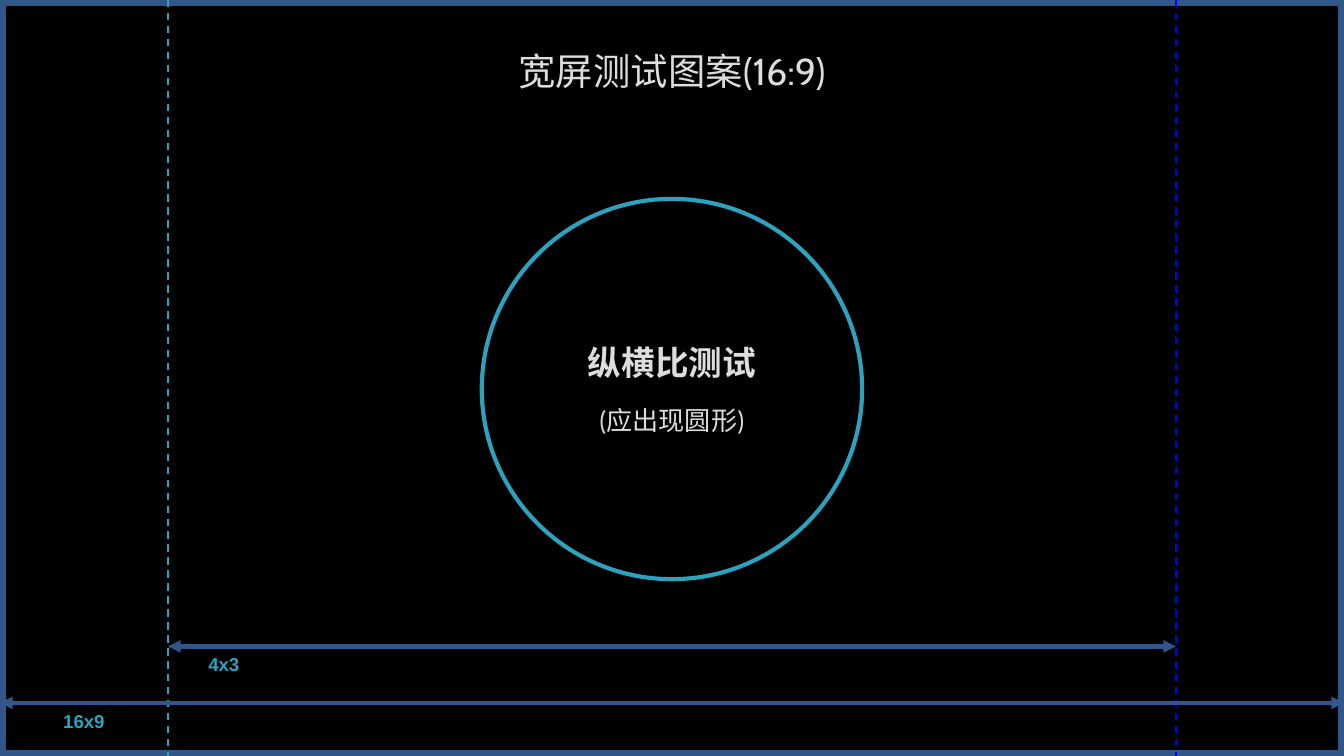
from dataclasses import dataclass
from typing import Any

from pptx import Presentation
from pptx.dml.color import RGBColor as Rgb
from pptx.enum.dml import MSO_LINE_DASH_STYLE as Dash
from pptx.enum.shapes import MSO_CONNECTOR as Link, MSO_SHAPE as Kind
from pptx.enum.text import MSO_ANCHOR as Anchor, MSO_AUTO_SIZE as Fit, PP_ALIGN as Align
from pptx.oxml.ns import qn
from pptx.oxml.xmlchemy import OxmlElement as Node
from pptx.util import Inches, Pt


@dataclass(frozen=True)
class Theme:
    back: str = "000000"
    frame: str = "31568A"
    teal: str = "2DA2BF"
    blue: str = "0000FF"
    text: str = "DDDDDD"
    face: str = "Cabin"
    label: str = "Arial"
    title: int = 20
    head: int = 18
    note: int = 14
    tag: int = 10
    thin: float = 1
    bold: float = 2.25
    edge: float = 6


@dataclass(frozen=True)
class Guide:
    x: float
    color: str


@dataclass(frozen=True)
class Span:
    name: str
    left: float
    right: float
    y: float
    tag: float


WIDE = 10
HIGH = WIDE * 9 / 16
LOOK = Theme()
SIDE = (WIDE - HIGH * 4 / 3) / 2
GUIDES = [Guide(SIDE, LOOK.teal), Guide(WIDE - SIDE, LOOK.blue)]
SPANS = [
    Span("16x9", 0, WIDE, 5.23, 0.42),
    Span("4x3", SIDE, WIDE - SIDE, 4.81, 1.5),
]


def apply(item: Any, form: dict[str, Any]) -> None:
    for key, value in form.items():
        setattr(item, key, value)


def write(para: Any, text: str, size: int, color: str, face: str,
          bold: bool = False, align: Any = Align.CENTER, gap: float = 0) -> None:
    apply(para, {"alignment": align, "space_before": Pt(gap)})
    run = para.add_run()
    run.text = text
    apply(run.font, {"size": Pt(size), "name": face, "bold": bold})
    run.font.color.rgb = Rgb.from_string(color)


def stroke(line: Any, color: str, width: float) -> None:
    line.color.rgb = Rgb.from_string(color)
    line.width = Pt(width)


def outline(slide: Any, kind: Any, box: tuple, color: str, width: float) -> Any:
    shape = slide.shapes.add_shape(kind, *map(Inches, box))
    shape.shadow.inherit = False
    shape.fill.background()
    stroke(shape.line, color, width)
    return shape


def rule(slide: Any, ends: tuple, color: str, width: float) -> Any:
    line = slide.shapes.add_connector(Link.STRAIGHT, *map(Inches, ends))
    stroke(line.line, color, width)
    line._element.spPr.append(Node("a:effectLst"))
    return line


def draw_guide(slide: Any, guide: Guide) -> None:
    line = rule(slide, (guide.x, 0, guide.x, HIGH), guide.color, LOOK.thin)
    line.line.dash_style = Dash.DASH


def draw_span(slide: Any, span: Span) -> None:
    line = rule(slide, (span.left, span.y, span.right, span.y), LOOK.frame, LOOK.bold)
    for name in ("a:headEnd", "a:tailEnd"):
        tip = Node(name)
        tip.set("type", "triangle")
        line._element.spPr.find(qn("a:ln")).append(tip)
    box = slide.shapes.add_textbox(*map(Inches, (span.tag, span.y, 0.58, 0.27)))
    pad = Inches(0.05)
    apply(box.text_frame, {
        "word_wrap": True, "auto_size": Fit.SHAPE_TO_FIT_TEXT,
        "margin_left": pad, "margin_right": pad,
        "margin_top": pad, "margin_bottom": pad,
    })
    write(box.text_frame.paragraphs[0], span.name, LOOK.tag, LOOK.teal,
          LOOK.label, True, Align.LEFT)


def draw_title(slide: Any) -> None:
    title = slide.shapes.title
    apply(title, {"left": Inches(0.75), "top": Inches(0.31),
                  "width": Inches(8.5), "height": Inches(0.92)})
    apply(title.text_frame, {"vertical_anchor": Anchor.TOP, "word_wrap": True,
                             "auto_size": Fit.NONE})
    write(title.text_frame.paragraphs[0], "宽屏测试图案(16:9)", LOOK.title,
          LOOK.text, LOOK.face)


def draw_circle(slide: Any) -> None:
    size = 2.83
    box = ((WIDE - size) / 2, 1.48, size, size)
    frame = outline(slide, Kind.OVAL, box, LOOK.teal, LOOK.bold).text_frame
    apply(frame, {"vertical_anchor": Anchor.MIDDLE, "word_wrap": True})
    write(frame.paragraphs[0], "纵横比测试", LOOK.head, LOOK.text, LOOK.face, True)
    write(frame.add_paragraph(), "(应出现圆形)", LOOK.note, LOOK.text, LOOK.face, gap=12)


def main() -> None:
    deck = Presentation()
    apply(deck, {"slide_width": Inches(WIDE), "slide_height": Inches(HIGH)})
    slide = deck.slides.add_slide(deck.slide_layouts[5])
    fill = slide.background.fill
    fill.solid()
    fill.fore_color.rgb = Rgb.from_string(LOOK.back)
    outline(slide, Kind.RECTANGLE, (0, 0, WIDE, HIGH), LOOK.frame, LOOK.edge)
    draw_title(slide)
    for guide in GUIDES:
        draw_guide(slide, guide)
    draw_circle(slide)
    for span in SPANS:
        draw_span(slide, span)
    deck.save("out.pptx")


if __name__ == "__main__":
    main()
